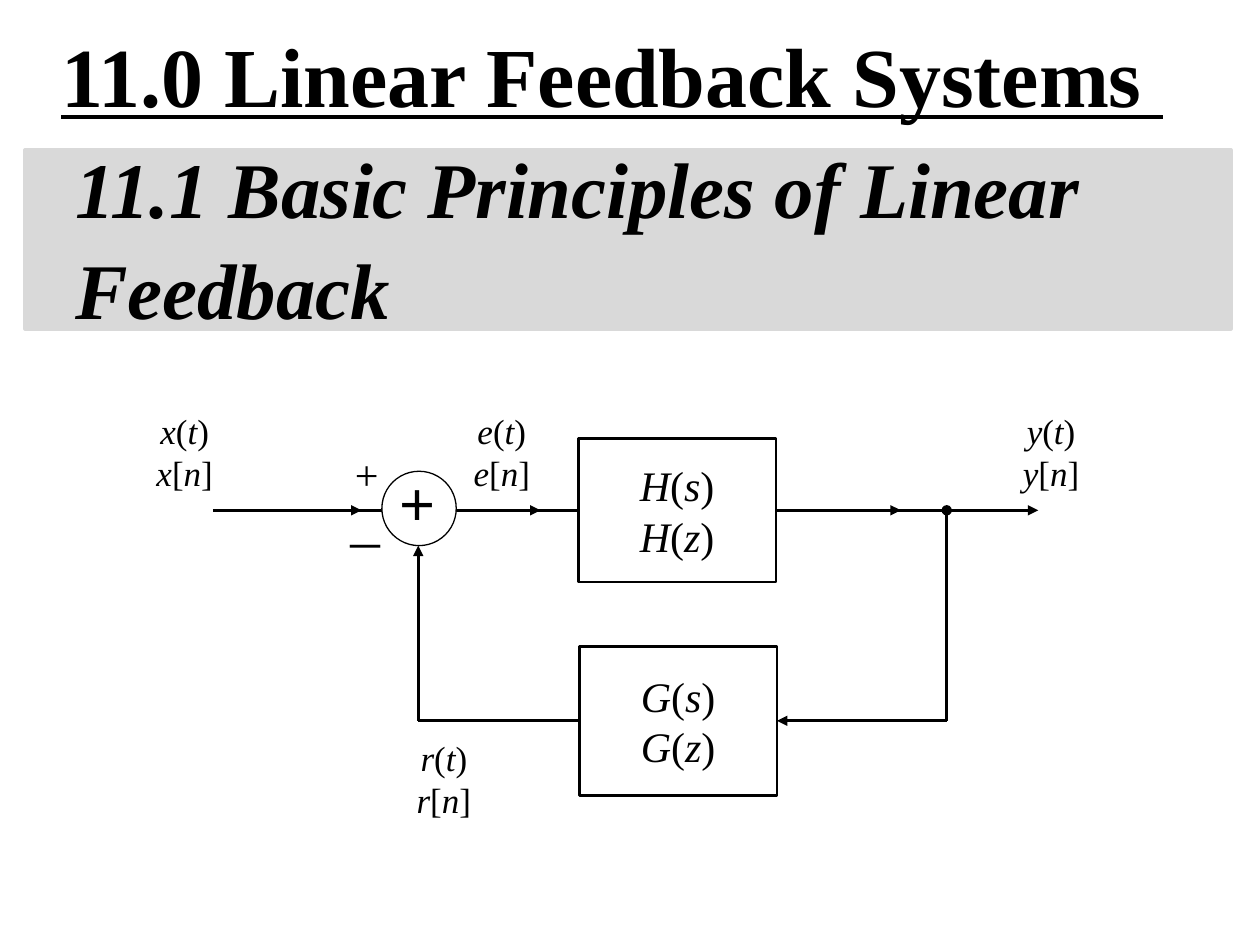
import itertools

import pptx
import pptx.dml.color
import pptx.enum.shapes
import pptx.enum.text
import pptx.oxml.ns
import pptx.util
from lxml import etree

Pt = pptx.util.Pt
SHAPE = pptx.enum.shapes.MSO_SHAPE
ANCHOR = pptx.enum.text.MSO_ANCHOR
ALIGN = pptx.enum.text.PP_ALIGN

FORWARD_Y = 291.6
FEEDBACK_Y = 411.9
SUM_X = 239
TAP_X = 541


def color(hex_text):
    return pptx.dml.color.RGBColor.from_string(hex_text)


def add_text(paragraph, text, font="Times New Roman", size=24, ink="000000",
             bold=False, italic=False, underline=False, math=False):
    """Append text to a paragraph; math sets only its letters in italics."""
    if math:
        pieces = [(slanted, "".join(chars))
                  for slanted, chars in itertools.groupby(text, str.isalpha)]
    else:
        pieces = [(italic, text)]
    for slanted, piece in pieces:
        run = paragraph.add_run()
        run.text = piece
        run.font.name = font
        run.font.size = Pt(size)
        run.font.color.rgb = color(ink)
        run.font.bold = bold
        run.font.italic = slanted
        run.font.underline = underline


class Diagram:
    ink = "000000"
    line_width = 1.5

    def __init__(self, slide):
        self.slide = slide

    def shape(self, kind, left, top, width, height, fill=None, line=ink,
              line_width=line_width):
        shape = self.slide.shapes.add_shape(
            kind, Pt(left), Pt(top), Pt(width), Pt(height))
        shape.shadow.inherit = False
        if fill:
            shape.fill.solid()
            shape.fill.fore_color.rgb = color(fill)
        else:
            shape.fill.background()
        shape.line.color.rgb = color(line)
        shape.line.width = Pt(line_width)
        return shape

    def set_lines(self, frame, lines, align=ALIGN.CENTER, **text_format):
        frame.word_wrap = False
        for index, line in enumerate(lines):
            paragraph = frame.add_paragraph() if index else frame.paragraphs[0]
            paragraph.alignment = align
            add_text(paragraph, line, **text_format)

    def block(self, left, top, width, height, lines):
        block = self.shape(SHAPE.RECTANGLE, left, top, width, height)
        block.text_frame.vertical_anchor = ANCHOR.MIDDLE
        self.set_lines(block.text_frame, lines, math=True)
        return block

    def text_box(self, left, top, width, height):
        box = self.slide.shapes.add_textbox(
            Pt(left), Pt(top), Pt(width), Pt(height))
        return box.text_frame

    def signal(self, left, top, name):
        frame = self.text_box(left, top, 46.5, 55.4)
        self.set_lines(frame, [f"{name}(t)", f"{name}[n]"], size=20, math=True)

    def sign(self, left, top, width, symbol, **text_format):
        frame = self.text_box(left, top, width, 36)
        self.set_lines(frame, [symbol], align=ALIGN.LEFT, **text_format)

    def wire(self, x1, y1, x2, y2, begin=None, end=None, head=None, tail=None):
        """Draw a line; begin and end are (block, side) pairs to join."""
        wire = self.slide.shapes.add_connector(
            pptx.enum.shapes.MSO_CONNECTOR.STRAIGHT,
            Pt(x1), Pt(y1), Pt(x2), Pt(y2))
        wire.line.color.rgb = color(self.ink)
        wire.line.width = Pt(self.line_width)
        if begin:
            wire.begin_connect(*begin)
        if end:
            wire.end_connect(*end)
        qn = pptx.oxml.ns.qn
        properties = wire._element.spPr
        outline = properties.find(qn("a:ln"))
        for tag, marker in (("a:headEnd", head), ("a:tailEnd", tail)):
            if marker:
                etree.SubElement(outline, qn(tag), type=marker)
        etree.SubElement(properties, qn("a:effectLst"))

    def heading(self):
        frame = self.text_box(0, 13, 720, 179.3)
        frame.word_wrap = True
        frame.vertical_anchor = ANCHOR.MIDDLE
        frame.margin_right = Pt(14.4)
        title = frame.paragraphs[0]
        title.space_after = Pt(12)
        add_text(title, "11.0 Linear Feedback Systems ", size=48,
                 bold=True, underline=True)
        title._p.get_or_add_pPr().set("marL", str(Pt(28)))
        for line, spacing in (("11.1 Basic Principles of Linear", 0.9),
                              ("Feedback", 1.0)):
            section = frame.add_paragraph()
            section.line_spacing = spacing
            section.space_before = Pt(3)
            section._p.get_or_add_pPr().set("marL", str(Pt(36)))
            add_text(section, line, size=45, bold=True, italic=True)


def main():
    deck = pptx.Presentation()
    deck.slide_width, deck.slide_height = Pt(720), Pt(540)
    diagram = Diagram(deck.slides.add_slide(deck.slide_layouts[6]))

    diagram.shape(SHAPE.RECTANGLE, 14.4, 85.7, 689, 102.2,
                  fill="D9D9D9", line="D9D9D9", line_width=2)
    diagram.heading()

    forward = diagram.block(330.5, 250.6, 113, 82, ["H(s)", "H(z)"])
    feedback = diagram.block(331, 369.4, 113, 85, ["G(s)", "G(z)"])

    diagram.wire(121.7, FORWARD_Y, 206.6, FORWARD_Y, tail="triangle")
    diagram.wire(184.3, FORWARD_Y, 308.9, FORWARD_Y, tail="triangle")
    diagram.wire(278.6, FORWARD_Y, 330.5, FORWARD_Y, end=(forward, 1))
    diagram.wire(443.5, FORWARD_Y, 514.8, FORWARD_Y, begin=(forward, 3),
                 tail="triangle")
    diagram.wire(490.3, FORWARD_Y, 593.3, FORWARD_Y, tail="triangle")
    diagram.wire(TAP_X, FORWARD_Y, TAP_X, FEEDBACK_Y, head="oval")
    diagram.wire(444, FEEDBACK_Y, TAP_X, FEEDBACK_Y, begin=(feedback, 3),
                 head="triangle")
    diagram.wire(SUM_X, FEEDBACK_Y, 331, FEEDBACK_Y, end=(feedback, 1))
    diagram.wire(SUM_X, FEEDBACK_Y, SUM_X, 311.8, tail="triangle")

    diagram.sign(195.8, 252.7, 28, "+")
    diagram.sign(190, 293.8, 38.2, "－")
    diagram.shape(SHAPE.OVAL, 218.2, 269.3, 42.5, 42.5, fill="FFFFFF",
                  line_width=0.75)
    diagram.sign(219.6, 270.7, 38.2, "＋", bold=True)

    for left, top, name in ((82.3, 230.4, "x"), (263.5, 230.4, "e"),
                            (230.4, 417.6, "r"), (577.4, 230.4, "y")):
        diagram.signal(left, top, name)

    deck.save("out.pptx")


if __name__ == "__main__":
    main()
